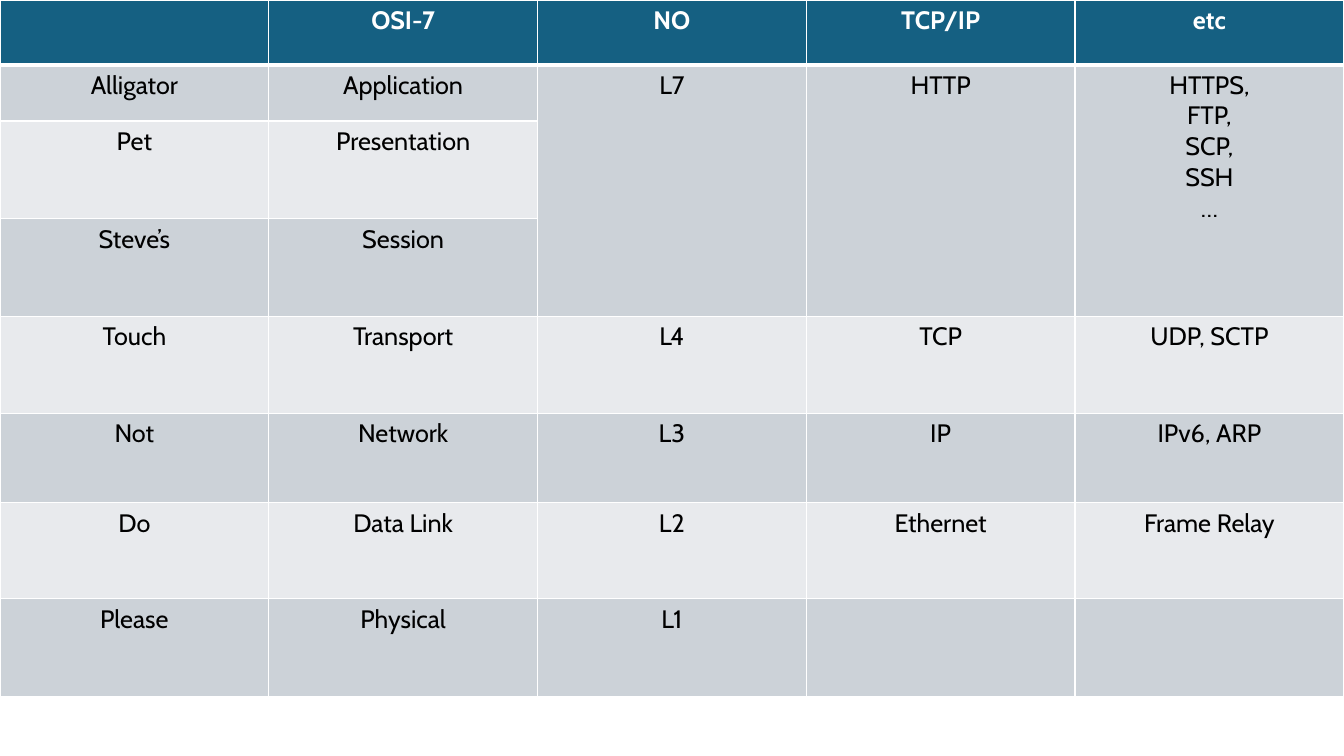
from lxml.etree import SubElement
from pptx import Presentation
from pptx.dml.color import RGBColor
from pptx.enum.text import PP_ALIGN
from pptx.oxml.ns import qn
from pptx.util import Cm, Pt

COLORS = {"head": "156082", "dark": "CCD2D8", "light": "E8EAED",
          "line": "FFFFFF", "text": "000000"}
FONT = "Cabin"
WIDTH, HEIGHT = 33.87, 19.05
ROWS = [1.63, 1.42, 2.46, 2.46, 2.44, 2.26, 2.42, 2.46]
LAYERS = [
    ["", "OSI-7", "NO", "TCP/IP", "etc"],
    ["Alligator", "Application", "L7", "HTTP", "HTTPS,\nFTP,\nSCP,\nSSH\n…"],
    ["Pet", "Presentation", "", "", ""],
    ["Steve’s", "Session", "", "", ""],
    ["Touch", "Transport", "L4", "TCP", "UDP, SCTP"],
    ["Not", "Network", "L3", "IP", "IPv6, ARP"],
    ["Do", "Data Link", "L2", "Ethernet", "Frame Relay"],
    ["Please", "Physical", "L1", "", ""],
]


def color(name):
    return RGBColor.from_string(COLORS[name])


def border(cell, widths):
    """Draw the cell's sides; widths maps L, R, T and B to points."""
    props = cell._tc.get_or_add_tcPr()
    for spot, side in enumerate("LRTB"):
        line = SubElement(props, qn(f"a:ln{side}"), w=str(Pt(widths[side])))
        fill = SubElement(line, qn("a:solidFill"))
        SubElement(fill, qn("a:srgbClr"), val=COLORS["line"])
        props.insert(spot, line)


def style(cell, row):
    head = row == 0
    cell.fill.solid()
    cell.fill.fore_color.rgb = color(
        "head" if head else "dark" if row % 2 else "light")
    border(cell, {"L": 1, "R": 1, "T": 3 if row == 1 else 1,
                  "B": 3 if head else 1})
    for para in cell.text_frame.paragraphs:
        para.alignment = PP_ALIGN.CENTER
        para.font.name = FONT
        para.font.size = Pt(18)
        para.font.bold = head
        para.font.color.rgb = color("line" if head else "text")


def add_layers(slide, left, top, width):
    """Place the table of network layers."""
    count = len(LAYERS[0])
    table = slide.shapes.add_table(len(ROWS), count, Cm(left), Cm(top),
                                   Cm(width), Cm(sum(ROWS))).table
    for col in table.columns:
        col.width = Cm(width / count)
    for row, (size, texts) in enumerate(zip(ROWS, LAYERS)):
        table.rows[row].height = Cm(size)
        for col, text in enumerate(texts):
            cell = table.cell(row, col)
            cell.text = text
            style(cell, row)
    for col in range(2, count):
        table.cell(1, col).merge(table.cell(3, col))


def main():
    deck = Presentation()
    deck.slide_width, deck.slide_height = Cm(WIDTH), Cm(HEIGHT)
    slide = deck.slides.add_slide(deck.slide_layouts[6])
    add_layers(slide, 0, 0, WIDTH)
    deck.save("out.pptx")


if __name__ == "__main__":
    main()
